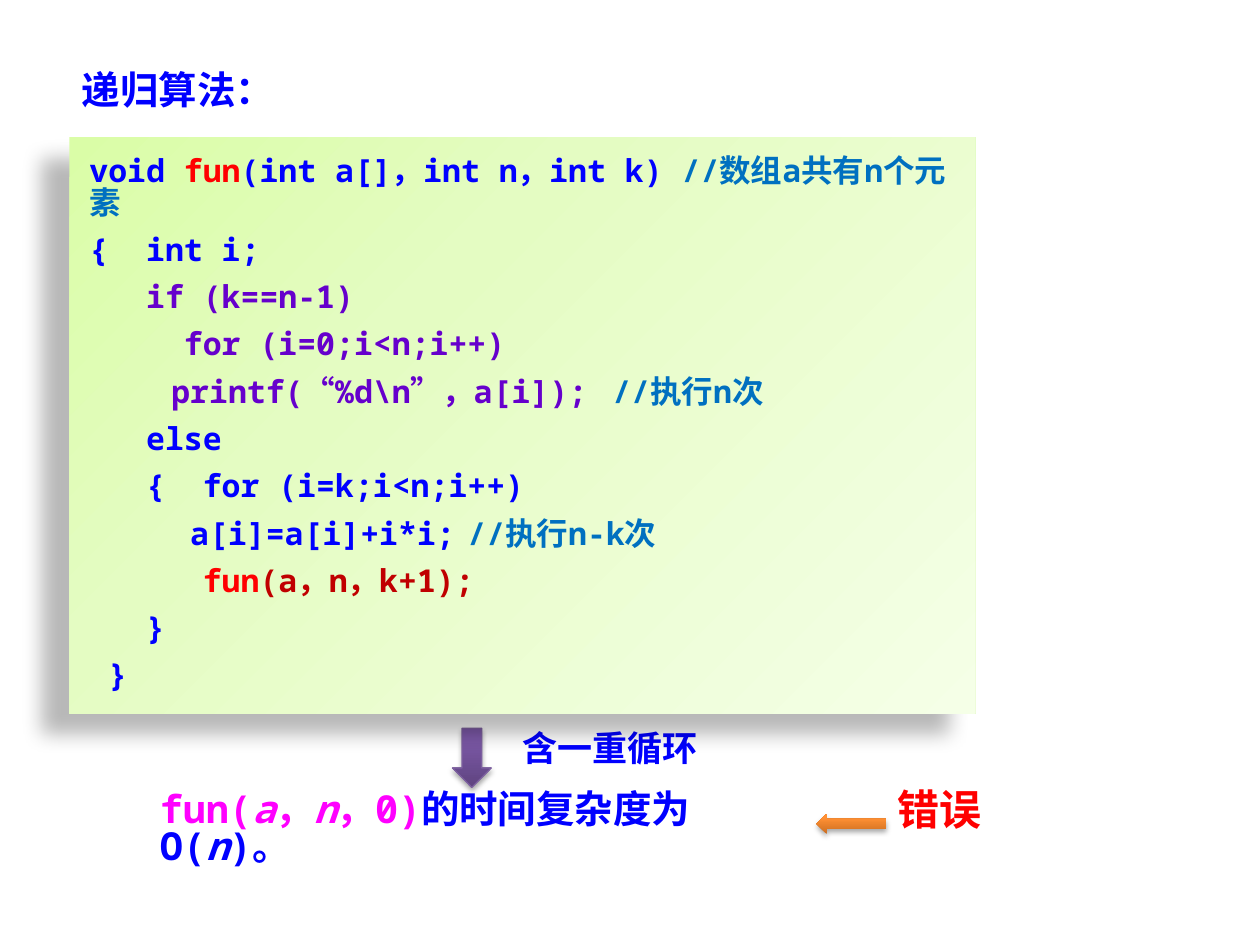
from lxml import etree
from pptx import Presentation
from pptx.dml.color import RGBColor
from pptx.enum import shapes, text
from pptx.oxml import ns
from pptx.util import Inches, Pt

BLUE = RGBColor(0x00, 0x00, 0xFF)
RED = RGBColor(0xFF, 0x00, 0x00)
DARK_RED = RGBColor(0xC0, 0x00, 0x00)
PURPLE = RGBColor(0x66, 0x00, 0xCC)
TEAL = RGBColor(0x00, 0x70, 0xC0)
MAGENTA = RGBColor(0xFF, 0x00, 0xFF)
VIOLET = RGBColor(0x7D, 0x60, 0xA0)
BLACK = RGBColor(0x00, 0x00, 0x00)
GREEN_STOPS = [(0, RGBColor(0xDA, 0xFD, 0xA7)), (35, RGBColor(0xE4, 0xFC, 0xC2)),
               (100, RGBColor(0xF5, 0xFF, 0xE7))]
ORANGE_STOPS = [(0, RGBColor(0xCC, 0x6E, 0x20)), (80, RGBColor(0xFF, 0x90, 0x34)),
                (100, RGBColor(0xFF, 0x91, 0x36))]
VIOLET_STOPS = [(0, RGBColor(0x5F, 0x44, 0x80)), (80, RGBColor(0x7B, 0x58, 0xA6)),
                (100, RGBColor(0x7C, 0x57, 0xA8))]

SANS = "Noto Sans CJK SC"
MONO = "Noto Sans Mono"
SERIF = "Times New Roman"

CODE = [
    [("void ", BLUE), ("fun", RED), ("(int a[]，int n，int k) ", BLUE), ("//数组a共有n个元素", TEAL)],
    [("{  int i;", BLUE)],
    [("   if (k==n-1)", PURPLE)],
    [("     for (i=0;i<n;i++)", PURPLE)],
    [("\t printf(“%d\\n”，a[i]);\t ", PURPLE), ("//执行n次", TEAL)],
    [("   else", BLUE)],
    [("   {  for (i=k;i<n;i++)", BLUE)],
    [("\t  a[i]=a[i]+i*i;\t", BLUE), ("//执行n-k次", TEAL)],
    [("      ", DARK_RED), ("fun", RED), ("(a，n，k+1);", DARK_RED)],
    [("   }", BLUE)],
    [(" }", BLUE)],
]
CONCLUSION = [("fun(", MAGENTA), ("a", MAGENTA, True), ("，", MAGENTA), ("n", MAGENTA, True),
              ("，0)", MAGENTA), ("的时间复杂度为O(", BLUE), ("n", BLUE, True), (")。", BLUE)]


def add_child(parent, tag, **attributes):
    values = {name: str(value) for name, value in attributes.items()}
    return etree.SubElement(parent, ns.qn(tag), values)


def apply(target, settings):
    for name, value in settings.items():
        setattr(target, name, value)


def place(shape, box):
    apply(shape, dict(zip(("left", "top", "width", "height"), map(Inches, box))))


def write_lines(shape, lines, font, size, paragraph_format, margins=(0.1, 0.05, 0.1, 0.05)):
    frame = shape.text_frame
    apply(frame, {"word_wrap": True, "auto_size": text.MSO_AUTO_SIZE.NONE,
                  "vertical_anchor": text.MSO_ANCHOR.TOP})
    sides = ("margin_left", "margin_top", "margin_right", "margin_bottom")
    apply(frame, dict(zip(sides, map(Inches, margins))))
    for index, line in enumerate(lines):
        paragraph = frame.add_paragraph() if index else frame.paragraphs[0]
        apply(paragraph, paragraph_format)
        paragraph.space_before = Pt(size / 2 if index else 0)
        for content, color, *italic in line:
            run = paragraph.add_run()
            run.text = content
            apply(run.font, {"name": font, "size": Pt(size), "bold": True, "italic": bool(italic)})
            run.font.color.rgb = color
            add_child(run.font._element, "a:ea", typeface=SANS)


def add_text(slide, box, line, font, size, alignment):
    shape = slide.shapes.add_textbox(*map(Inches, box))
    write_lines(shape, [line], font, size, {"alignment": alignment, "line_spacing": 0.8})


def add_shadow(shape, opacity, blur, distance, direction):
    shape.shadow.inherit = False
    effects = shape._element.spPr.find(ns.qn("a:effectLst"))
    shadow = add_child(effects, "a:outerShdw", blurRad=Pt(blur), dist=Pt(distance),
                       dir=direction * 60000, rotWithShape=0)
    color = add_child(shadow, "a:srgbClr", val=BLACK)
    add_child(color, "a:alpha", val=opacity * 1000)


def add_gradient_shape(slide, kind, box, stops, angle, shadow, line_color=None):
    shape = slide.shapes.add_shape(kind, *map(Inches, box))
    shape.fill.gradient()
    shape.fill.gradient_angle = 360 - angle
    stop_list = shape._element.spPr.find(ns.qn("a:gradFill")).find(ns.qn("a:gsLst"))
    for stop in list(stop_list):
        stop_list.remove(stop)
    for position, color in stops:
        stop = add_child(stop_list, "a:gs", pos=position * 1000)
        add_child(stop, "a:srgbClr", val=color)
    if line_color is None:
        shape.line.fill.background()
    else:
        shape.line.color.rgb = line_color
        shape.line.width = Pt(0.75)
    add_shadow(shape, *shadow)
    return shape


def main():
    presentation = Presentation()
    presentation.slide_width, presentation.slide_height = Inches(10), Inches(7.5)
    slide = presentation.slides.add_slide(presentation.slide_layouts[5])
    kinds = shapes.MSO_SHAPE
    align = text.PP_ALIGN
    arrow_shadow = (35, 3.1, 1.8, 90)

    title = slide.shapes.title
    place(title, (0.55, 0.47, 5.55, 0.47))
    write_lines(title, [[("递归算法：", BLUE)]], SERIF, 22, {"alignment": align.JUSTIFY})

    add_gradient_shape(slide, kinds.LEFT_ARROW, (6.48, 6.46, 0.55, 0.16),
                       ORANGE_STOPS, 270, arrow_shadow)
    add_text(slide, (6.95, 6.25, 1.02, 0.55), [("错误", RED)], SANS, 24, align.CENTER)
    add_text(slide, (1.17, 6.25, 5.16, 0.48), CONCLUSION, MONO, 22, align.LEFT)
    add_gradient_shape(slide, kinds.DOWN_ARROW, (3.59, 5.78, 0.31, 0.47),
                       VIOLET_STOPS, 270, arrow_shadow, VIOLET)
    add_text(slide, (3.98, 5.78, 1.72, 0.43), [("含一重循环", BLUE)], SANS, 20, align.CENTER)

    panel = add_gradient_shape(slide, kinds.RECTANGLE, (0.55, 1.09, 7.19, 4.57),
                               GREEN_STOPS, 45, (28, 11.8, 19.7, 141))
    write_lines(panel, CODE, MONO, 18, {"alignment": align.LEFT, "line_spacing": Pt(18)},
                (0.16, 0.16, 0.1, 0.12))

    presentation.save("out.pptx")


if __name__ == "__main__":
    main()
